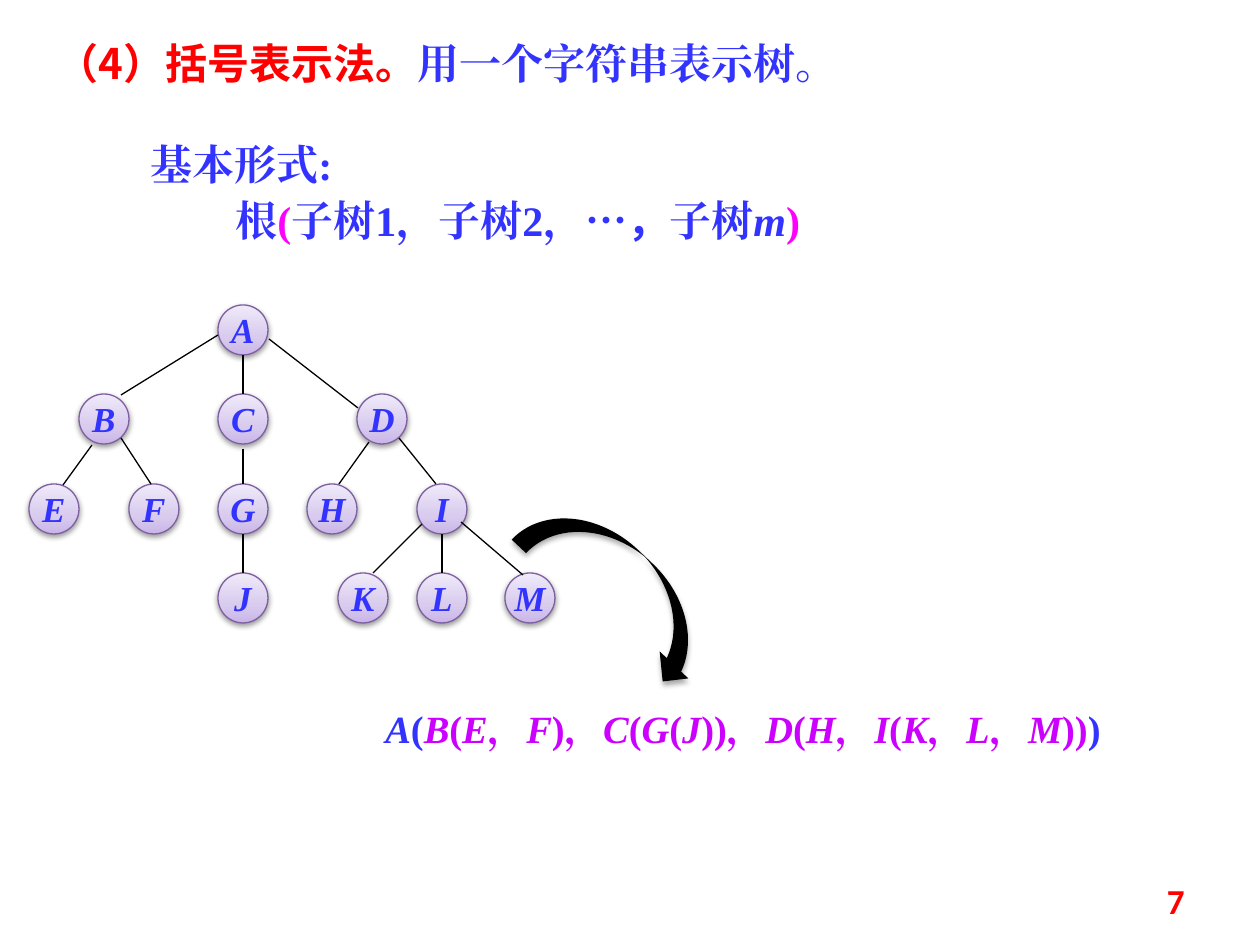
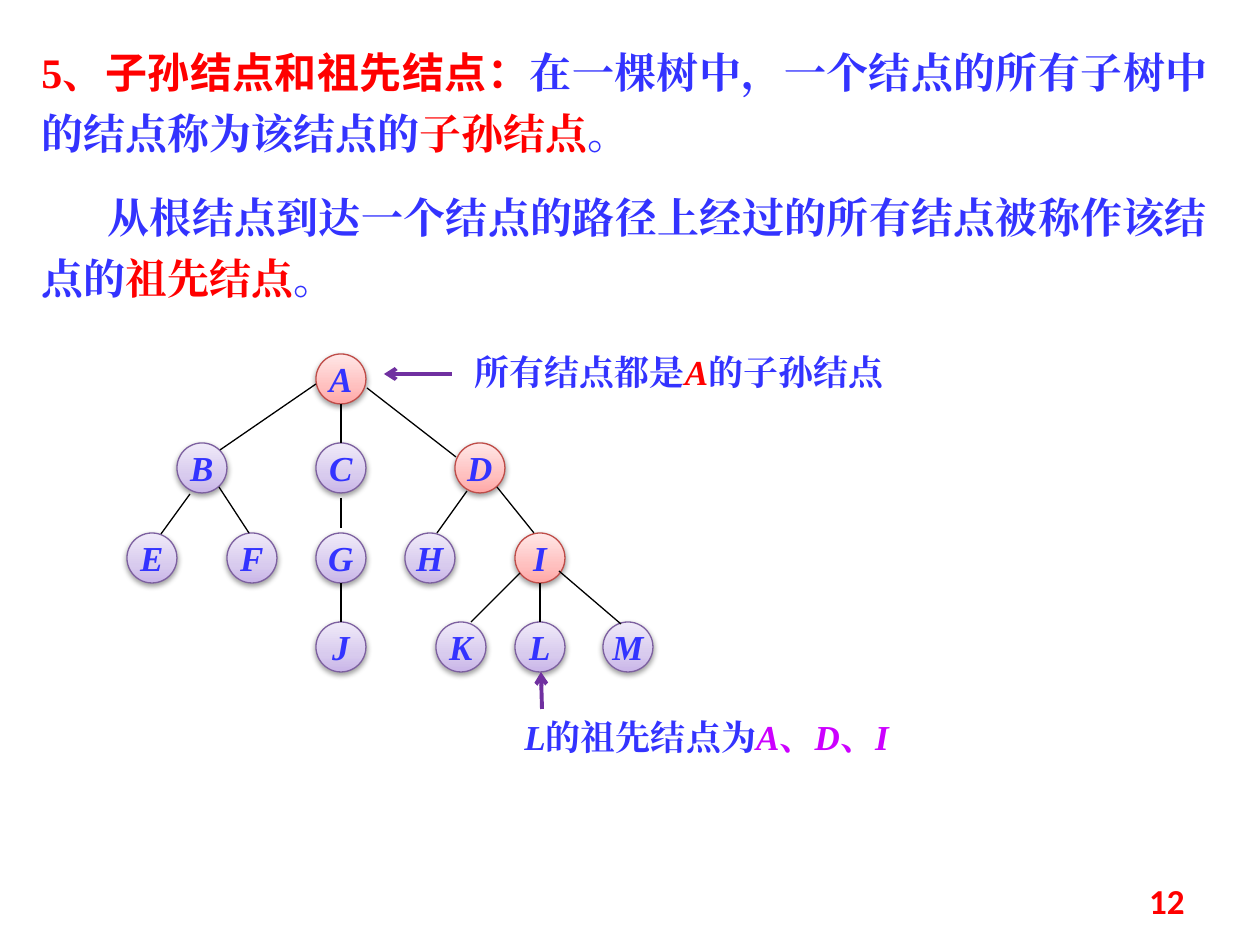
from copy import deepcopy
from itertools import groupby

from lxml import etree
from pptx import Presentation
from pptx.dml.color import RGBColor
from pptx.enum.shapes import MSO_CONNECTOR, MSO_SHAPE
from pptx.enum.text import MSO_ANCHOR, MSO_AUTO_SIZE, PP_ALIGN
from pptx.oxml.ns import qn
from pptx.util import Pt

LINE = MSO_CONNECTOR.STRAIGHT
OVAL, CURVE = MSO_SHAPE.OVAL, MSO_SHAPE.CURVED_DOWN_ARROW
MIDDLE, GROW = MSO_ANCHOR.MIDDLE, MSO_AUTO_SIZE.SHAPE_TO_FIT_TEXT
LEFT, CENTER = PP_ALIGN.LEFT, PP_ALIGN.CENTER
RIGHT, FULL = PP_ALIGN.RIGHT, PP_ALIGN.JUSTIFY

SCALE = 914400 / 126
BLANK = 6
SERIF, SANS, DIGIT = "Times New Roman", "Noto Sans CJK SC", "Calibri"
BLUE, RED, PURPLE, PINK = "3333FF", "FF0000", "CC00FF", "FF00FF"
BLACK, VIOLET = "000000", "7030A0"
PLAIN = ("7D60A0", ((0, "C9B5E8"), (0.35, "D8CBEE"), (1, "F0EAF9")))
MARKED = ("BF4C48", ((0, "FFA6A5"), (0.35, "FFC0BF"), (1, "FFE7E7")))

NODE, STEP = 50, 89.5
LEVELS = (
    {"A": 0},
    {"B": -139, "C": 0, "D": 139},
    {"E": -189, "F": -89, "G": 0, "H": 89, "I": 199},
    {"J": 0, "K": 120, "L": 199, "M": 287},
)
EDGES = {
    "AB": (0, 30, -97, 90), "AC": (25, 50, 25, 89), "AD": (51, 34, 140, 103),
    "BE": (-126, 140, -155, 180), "BF": (-97, 133, -67, 179),
    "CG": (25, 144, 25, 179),
    "DH": (151, 137, 121, 179), "DI": (181, 133, 218, 179),
    "GJ": (25, 229, 25, 268),
    "IK": (204, 219, 155, 268), "IL": (224, 229, 224, 268),
    "IM": (243, 217, 305, 270),
}


def px(*values):
    """Turn px lengths into EMU."""
    return [round(value * SCALE) for value in values]


def rgb(code):
    """Turn a hex string into a colour."""
    return RGBColor.from_string(code)


def write(para, runs, size):
    """Add bold runs of (text, colour, italic, font) to a paragraph."""
    for item in runs:
        words, colour, slant, face = (*item, *(False, SERIF)[len(item) - 2:])
        run = para.add_run()
        run.text = words
        font = run.font
        font.size, font.bold, font.italic = Pt(size), True, slant
        font.color.rgb = rgb(colour)
        font.name = face
        etree.SubElement(run._r.get_or_add_rPr(), qn("a:ea"), typeface=face)


def mix(words, colour):
    """Split words into runs with italic letters and upright marks."""
    parts = groupby(words, lambda char: char.isascii() and char.isalpha())
    return [("".join(chars), colour, slant) for slant, chars in parts]


def text(slide, box, paras, size, align=LEFT):
    """Add a text box of (runs, line spacing, indent, space before) paragraphs."""
    frame = slide.shapes.add_textbox(*px(*box)).text_frame
    frame.word_wrap, frame.auto_size = True, GROW
    for index, (runs, lines, indent, before) in enumerate(paras):
        para = frame.add_paragraph() if index else frame.paragraphs[0]
        para.alignment, para.line_spacing = align, lines
        if before:
            para.space_before = Pt(before)
        if indent:
            para._p.get_or_add_pPr().set("indent", str(px(indent)[0]))
        write(para, runs, size)
    return frame


def label(slide, box, runs, size=20, align=LEFT):
    """Add a text box with one paragraph."""
    return text(slide, box, [(runs, None, 0, 0)], size, align)


def number(slide, value):
    """Add the red page number at the bottom right."""
    runs = [(value, RED, False, DIGIT)]
    label(slide, (903, 876, 294, 50), runs, align=RIGHT).vertical_anchor = MIDDLE


def shade(shape, dist, alpha):
    """Give a shape a soft shadow straight below it."""
    shape.shadow.inherit = False
    effects = shape.element.spPr.find(qn("a:effectLst"))
    outer = etree.SubElement(
        effects, qn("a:outerShdw"), blurRad="40000", dist=str(dist),
        dir="5400000", rotWithShape="0")
    colour = etree.SubElement(outer, qn("a:srgbClr"), val=BLACK)
    etree.SubElement(colour, qn("a:alpha"), val=str(alpha * 1000))


def line(shapes, ends, colour=BLACK, width=0.75, arrow=False):
    """Draw a straight line, with an arrowhead at its end if asked."""
    link = shapes.add_connector(LINE, *px(*ends))
    link.line.color.rgb, link.line.width = rgb(colour), Pt(width)
    if arrow:
        stroke = link.element.spPr.find(qn("a:ln"))
        etree.SubElement(stroke, qn("a:tailEnd"), type="arrow")
    etree.SubElement(link.element.spPr, qn("a:effectLst"))


def node(shapes, left, top, name, look):
    """Draw one tree node as a shaded circle with a letter."""
    edge, stops = look
    shape = shapes.add_shape(OVAL, *px(left, top, NODE, NODE))
    fill = shape.fill
    fill.gradient()
    fill.gradient_angle = 90
    store = shape.element.spPr.find(".//" + qn("a:gsLst"))
    store.append(deepcopy(store[0]))
    for stop, (place, colour) in zip(fill.gradient_stops, stops):
        stop.position, stop.color.rgb = place, rgb(colour)
    shape.line.color.rgb, shape.line.width = rgb(edge), Pt(0.75)
    shade(shape, 20000, 38)
    frame = shape.text_frame
    frame.word_wrap, frame.vertical_anchor = False, MIDDLE
    para = frame.paragraphs[0]
    para.alignment = CENTER
    write(para, [(name, BLUE, True)], 20)


def tree(shapes, left, top, marked="", edges=EDGES):
    """Draw the tree with its root at left and top."""
    for depth, level in enumerate(LEVELS):
        for name, shift in level.items():
            look = MARKED if name in marked else PLAIN
            node(shapes, left + shift, top + int(depth * STEP), name, look)
    for x1, y1, x2, y2 in edges.values():
        line(shapes, (left + x1, top + y1, left + x2, top + y2))


def bracket(slide):
    """Fill the slide on the bracket notation."""
    head = [("（4）括号表示法。", RED, False, SANS), ("用一个字符串表示树。", BLUE)]
    form = [
        ("根", BLUE), ("(", PINK), ("子树1，子树2，", BLUE),
        ("…，", BLUE, False, SANS), ("子树", BLUE), ("m", BLUE, True), (")", PINK),
    ]
    text(slide, (44, 26, 1126, 228), [
        (head, Pt(32), 0, 0),
        ([("基本形式:", BLUE)], 2.0, 94, 0),
        (form, Pt(32), 179, 0),
    ], 24)
    tree(slide.shapes.add_group_shape().shapes, 218, 305)
    inner = mix("B(E，F)，C(G(J))，D(H，I(K，L，M))", PURPLE)
    runs = mix("A(", BLUE) + inner + mix(")", BLUE)
    label(slide, (335, 699, 816, 59), runs, 22, CENTER)
    curve = slide.shapes.add_shape(CURVE, *px(508, 549, 227, 79))
    curve.rotation = 43.2
    curve.fill.solid()
    curve.fill.fore_color.rgb = rgb(BLACK)
    curve.line.fill.background()
    shade(curve, 23000, 35)
    number(slide, "7")


def kin(slide):
    """Fill the slide on descendants and ancestors."""
    below = [
        ("5、", RED), ("子孙结点和祖先结点：", RED, False, SANS),
        ("在一棵树中，一个结点的所有子树中的结点称为该结点的", BLUE),
        ("子孙结点", RED), ("。", BLUE),
    ]
    above = [
        ("从根结点到达一个结点的路径上经过的所有结点被称作该结点的", BLUE),
        ("祖先结点", RED), ("。", BLUE),
    ]
    text(slide, (29, 29, 1191, 286),
         [(below, Pt(35), 0, 0), (above, Pt(35), 66, 13)], 24, FULL)
    edges = EDGES | {"AB": (0, 30, -96, 96), "CG": (25, 144, 25, 174)}
    tree(slide.shapes, 316, 354, "ADI", edges)
    label(slide, (462, 344, 462, 55),
          [("所有结点都是", BLUE), ("A", RED, True), ("的子孙结点", BLUE)])
    label(slide, (512, 709, 462, 55),
          mix("L的祖先结点为", BLUE) + mix("A、D、I", PURPLE))
    for ends in ((452, 374, 384, 374), (542, 709, 541, 672)):
        line(slide.shapes, ends, VIOLET, 2.25, True)
    number(slide, "12")


def main():
    """Build both slides and save them."""
    deck = Presentation()
    deck.slide_width, deck.slide_height = px(1260, 945)
    for fill in (bracket, kin):
        fill(deck.slides.add_slide(deck.slide_layouts[BLANK]))
    deck.save("out.pptx")


if __name__ == "__main__":
    main()
